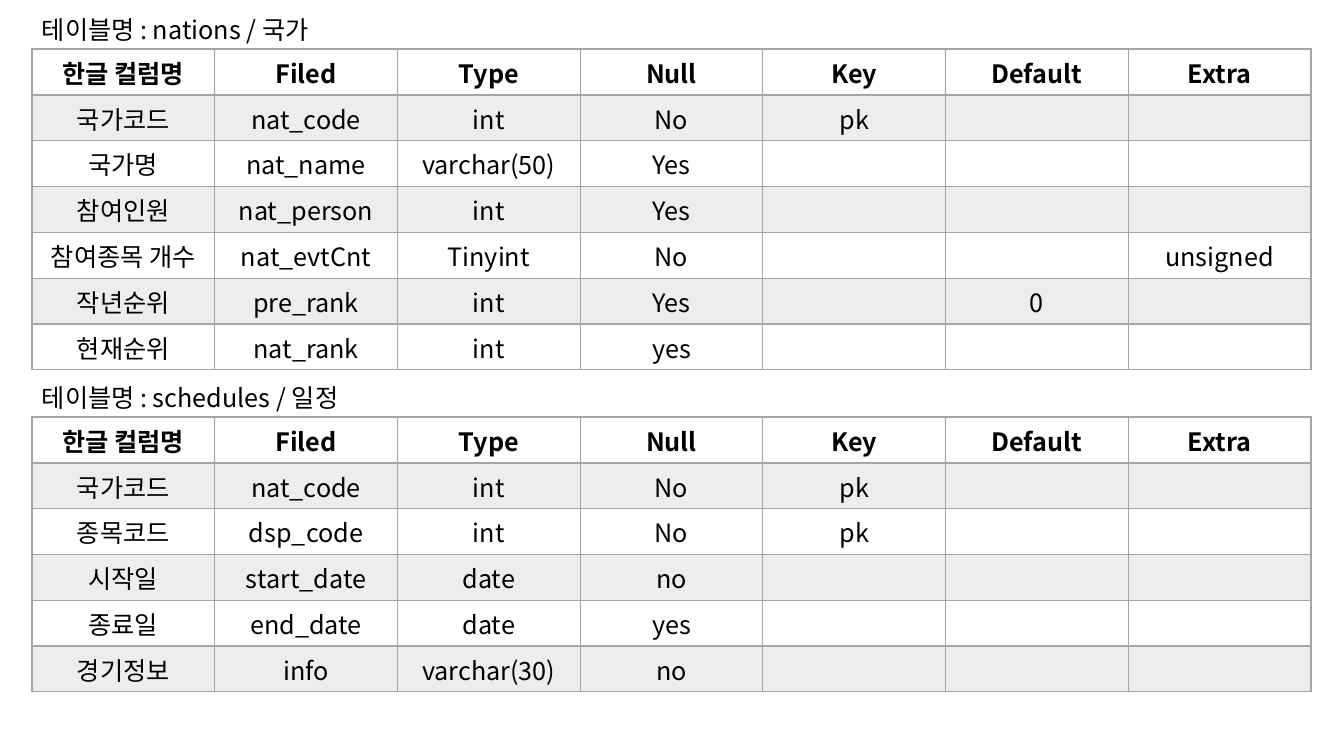
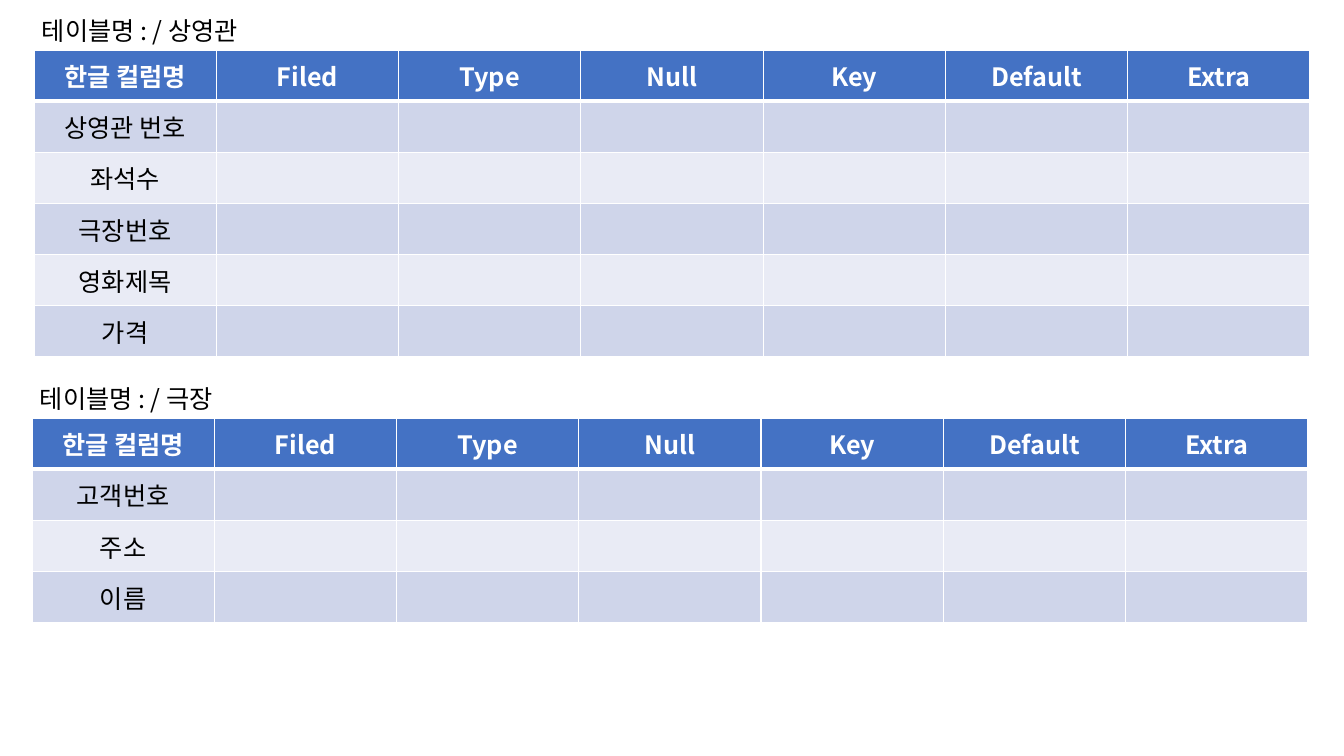
from dataclasses import dataclass

from lxml import etree
from pptx import Presentation
from pptx.dml.color import RGBColor
from pptx.enum.text import MSO_ANCHOR, MSO_AUTO_SIZE, PP_ALIGN
from pptx.oxml.ns import qn
from pptx.util import Emu, Pt

MIDDLE = MSO_ANCHOR.MIDDLE
CENTER = PP_ALIGN.CENTER
GROW = MSO_AUTO_SIZE.SHAPE_TO_FIT_TEXT
SCALE = 914400 / 100.8


@dataclass(frozen=True)
class Look:
    """Fills, text colour and borders of one table style."""
    line: str
    rule: int
    ink: str
    head: tuple | None
    bands: tuple


class Theme:
    """Colours and type sizes of the deck."""
    font = "Noto Sans CJK KR"
    size = 18
    black = "000000"
    edge = 1
    gray = Look("A5A5A5", 2, black, None, (("A5A5A5", 20), None))
    blue = Look("FFFFFF", 3, "FFFFFF", ("4472C4", 100),
                (("CFD5EA", 100), ("E9EBF5", 100)))


HEADS = ("한글 컬럼명", "Filed", "Type", "Null", "Key", "Default", "Extra")
NATIONS = (
    ("국가코드", "nat_code", "int", "No", "pk"),
    ("국가명", "nat_name", "varchar(50)", "Yes"),
    ("참여인원", "nat_person", "int", "Yes"),
    ("참여종목 개수", "nat_evtCnt", "Tinyint", "No", "", "", "unsigned"),
    ("작년순위", "pre_rank", "int", "Yes", "", "0"),
    ("현재순위", "nat_rank", "int", "yes"),
)
SCHEDULES = (
    ("국가코드", "nat_code", "int", "No", "pk"),
    ("종목코드", "dsp_code", "int", "No", "pk"),
    ("시작일", "start_date", "date", "no"),
    ("종료일", "end_date", "date", "yes"),
    ("경기정보", "info", "varchar(30)", "no"),
)
HALLS = (("상영관 번호",), ("좌석수",), ("극장번호",), ("영화제목",), ("가격",))
CINEMAS = (("고객번호",), ("주소",), ("이름",))


def px(*vals):
    """Turn px lengths into EMU."""
    return [Emu(round(val * SCALE)) for val in vals]


def write(frame, text, ink, bold=False):
    """Fill a text frame with one styled line."""
    frame.text = text
    for run in frame.paragraphs[0].runs:
        font = run.font
        font.name, font.size, font.bold = Theme.font, Pt(Theme.size), bold
        font.color.rgb = RGBColor.from_string(ink)
        etree.SubElement(run._r.get_or_add_rPr(), qn("a:ea"), typeface=Theme.font)


def paint(cell, fill):
    """Fill a cell with a colour and opacity, or leave it clear."""
    if fill is None:
        cell.fill.background()
        return
    color, alpha = fill
    cell.fill.solid()
    cell.fill.fore_color.rgb = RGBColor.from_string(color)
    if alpha < 100:
        node = cell._tc.tcPr.find(".//" + qn("a:srgbClr"))
        etree.SubElement(node, qn("a:alpha"), val=str(alpha * 1000))


def border(cell, color, top, bottom):
    """Draw the four edges of a cell."""
    props = cell._tc.get_or_add_tcPr()
    edges = (("L", Theme.edge), ("R", Theme.edge), ("T", top), ("B", bottom))
    for spot, (side, width) in enumerate(edges):
        line = etree.Element(qn(f"a:ln{side}"), w=str(Pt(width)))
        solid = etree.SubElement(line, qn("a:solidFill"))
        etree.SubElement(solid, qn("a:srgbClr"), val=color)
        props.insert(spot, line)


def caption(slide, box, name):
    """Place the name line of a table."""
    frame = slide.shapes.add_textbox(*px(*box)).text_frame
    frame.word_wrap = True
    frame.auto_size = GROW
    write(frame, f"테이블명 : {name}", Theme.black)


def grid(slide, box, rows, look):
    """Place a table with equal columns and rows in a box."""
    left, top, width, height = px(*box)
    lines = (HEADS, *rows)
    table = slide.shapes.add_table(
        len(lines), len(HEADS), left, top, width, height).table
    table.first_row = table.horz_banding = False
    for r, line in enumerate(lines):
        head = r == 0
        fill = look.head if head else look.bands[(r - 1) % 2]
        ink = look.ink if head else Theme.black
        for c in range(len(HEADS)):
            cell = table.cell(r, c)
            cell.vertical_anchor = MIDDLE
            write(cell.text_frame, line[c] if c < len(line) else "", ink, head)
            para = cell.text_frame.paragraphs[0]
            para.alignment = CENTER
            para.font.size = Pt(Theme.size)
            paint(cell, fill)
            border(cell, look.line, look.rule if r == 1 else Theme.edge,
                   look.rule if head else Theme.edge)


def block(slide, box, name, rows, look, shift=0):
    """Place a caption and, 40 px below it, its table."""
    left, top, width, height = box
    caption(slide, (left - shift, top, 1279, 40), name)
    grid(slide, (left, top + 40, width, height - 40), rows, look)


def main():
    """Build the deck."""
    deck = Presentation()
    deck.slide_width, deck.slide_height = px(1344, 756)
    pages = (
        (((32, 9, 1279, 361), "nations / 국가", NATIONS, Theme.gray),
         ((32, 377, 1279, 315), "schedules / 일정", SCHEDULES, Theme.gray)),
        (((34, 10, 1276, 347), "/ 상영관", HALLS, Theme.blue, 2),
         ((32, 378, 1276, 245), "/ 극장", CINEMAS, Theme.blue, 2)),
    )
    for blocks in pages:
        slide = deck.slides.add_slide(deck.slide_layouts[6])
        for part in blocks:
            block(slide, *part)
    deck.save("out.pptx")


if __name__ == "__main__":
    main()
